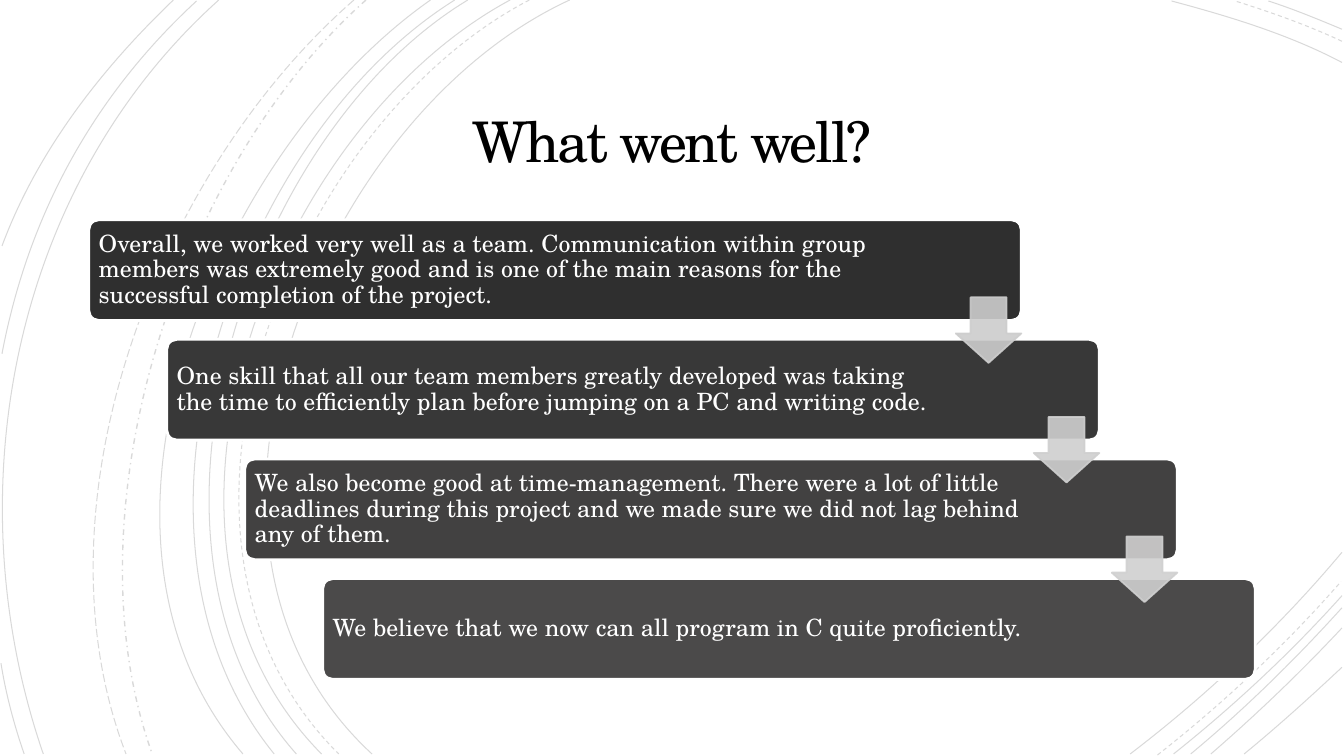
"""Builds the "What went well?" slide: a staircase of four bars over fine arcs."""
import dataclasses
import typing

import lxml.etree
import pptx
import pptx.dml.color
import pptx.enum.dml
import pptx.enum.shapes
import pptx.enum.text
import pptx.oxml.ns
import pptx.util

COLS, ROWS = 13.33, 7.5
CELL = pptx.util.Inches(1)
FONT = "TeX Gyre Schola"
BAR_LEFT, BAR_TOP, BAR_W, BAR_H = 0.88, 2.18, 9.25, 1
LAST_LEFT, LAST_TOP = 3.2, 5.74
ARROW, ARROW_DROP = 0.65, 0.77

Dash = pptx.enum.dml.MSO_LINE
Preset = pptx.enum.shapes.MSO_SHAPE
Align = pptx.enum.text.PP_ALIGN
qn = pptx.oxml.ns.qn


@dataclasses.dataclass
class Arc:
    points: tuple[float, ...]
    dash: typing.Any = Dash.SOLID
    width: float = 0.75


@dataclasses.dataclass
class Bar:
    text: str
    fill: str
    margin_right: float
    arrow: str = ""


ARCS = [
    Arc((5.65, 0, 3.15, 1.15, 1.43, 5.4, 3.69, 7.48)),
    Arc((13.31, 0.62, 12.78, 0.34, 12.18, 0.16, 11.62, 0.01)),
    Arc((11.21, 7.48, 11.97, 6.9, 12.69, 6.22, 13.31, 5.48)),
    Arc((5.25, 0, 2.85, 1.25, 1.23, 5.37, 3.36, 7.48), Dash.DASH),
    Arc((13.31, 0.41, 12.97, 0.25, 12.6, 0.12, 12.25, 0.01), Dash.DASH),
    Arc((11.48, 7.49, 12.13, 6.98, 12.75, 6.4, 13.3, 5.77), Dash.DASH),
    Arc((5.06, 0, 2.7, 1.27, 1.1, 5.37, 3.19, 7.48)),
    Arc((13.31, 0.29, 13.07, 0.19, 12.83, 0.09, 12.58, 0.01)),
    Arc((11.64, 7.48, 12.23, 7.01, 12.8, 6.48, 13.31, 5.91)),
    Arc((4.64, 0, 2.44, 1.33, 1.1, 5.41, 2.94, 7.48)),
    Arc((11.81, 7.48, 12.34, 7.04, 12.84, 6.55, 13.31, 6.03)),
    Arc((4.51, 0, 2.31, 1.38, 0.97, 5.33, 2.72, 7.48)),
    Arc((12.01, 7.48, 12.46, 7.09, 12.9, 6.67, 13.31, 6.23)),
    Arc((4.27, 0, 2.17, 1.47, 0.53, 5.29, 2.41, 7.48)),
    Arc((12.34, 7.48, 12.67, 7.21, 12.99, 6.92, 13.31, 6.62)),
    Arc((3.63, 0, 1.76, 1.66, 0.65, 5.09, 1.51, 7.48), Dash.DASH_DOT, 1),
    Arc((3.51, 0, 1.57, 1.69, 0.29, 4.99, 1.25, 7.48), Dash.LONG_DASH),
    Arc((2.17, 0, 0.11, 1.85, -0.46, 4.9, 0.43, 7.48)),
    Arc((1.95, 0.01, 0.92, 0.96, 0.28, 2.14, 0.02, 3.51)),
    Arc((0.01, 6.58, 0.06, 6.89, 0.14, 7.19, 0.24, 7.48)),
    Arc((1.72, 0, 1, 0.69, 0.37, 1.5, 0.02, 2.44)),
]

BARS = [
    Bar("Overall, we worked very well as a team. Communication within group members was "
        "extremely good and is one of the main reasons for the successful completion of "
        "the project.", "2F2F2F", 1.18, "CDCDCD"),
    Bar("One skill that all our team members greatly developed was taking the time to "
        "efficiently plan before jumping on a PC and writing code.",
        "383838", 1.49, "CFCFCF"),
    Bar("We also become good at time-management. There were a lot of little deadlines "
        "during this project and we made sure we did not lag behind any of them.",
        "424141", 1.48, "D0D0D0"),
    Bar("We believe that we now can all program in C quite proficiently.",
        "4B4A4A", 1.49),
]
STEP_X = (LAST_LEFT - BAR_LEFT) / (len(BARS) - 1)
STEP_Y = (LAST_TOP - BAR_TOP) / (len(BARS) - 1)


def cells(*counts: float) -> list[int]:
    """Turn counts of grid cells into lengths."""
    return [round(n * CELL) for n in counts]


def color(value: str) -> pptx.dml.color.RGBColor:
    """Return the colour of a hex string."""
    return pptx.dml.color.RGBColor.from_string(value)


def paint(sp: typing.Any, line: str = "", width: float = 0, fill: str = "",
          alpha: int = 100) -> None:
    """Set outline, fill and opacity in percent, without a shadow."""
    sp.shadow.inherit = False
    if fill:
        sp.fill.solid()
        sp.fill.fore_color.rgb = color(fill)
    else:
        sp.fill.background()
    if line:
        sp.line.color.rgb = color(line)
        sp.line.width = pptx.util.Pt(width)
    else:
        sp.line.fill.background()
    if alpha < 100:
        for c in sp.element.spPr.iter(qn("a:srgbClr")):
            lxml.etree.SubElement(c, qn("a:alpha"), val=str(alpha * 1000))


def write(sp: typing.Any, text: str, *, size: float, rgb: str, align: typing.Any,
          leading: float, margins: tuple[float, ...], tracking: float = 0) -> None:
    """Fill a shape with one formatted paragraph."""
    tf = sp.text_frame
    tf.word_wrap = True
    tf.auto_size = pptx.enum.text.MSO_AUTO_SIZE.NONE
    tf.vertical_anchor = pptx.enum.text.MSO_ANCHOR.MIDDLE
    tf.margin_left, tf.margin_top, tf.margin_right, tf.margin_bottom = cells(*margins)
    p = tf.paragraphs[0]
    p.alignment, p.line_spacing = align, leading
    r = p.add_run()
    r.text = text
    r.font.name, r.font.size = FONT, pptx.util.Pt(size)
    r.font.color.rgb = color(rgb)
    if tracking:
        r.font._element.set("spc", str(round(tracking * 100)))


def draw_arc(s: typing.Any, arc: Arc) -> None:
    """Draw a cubic curve as a fine open outline."""
    lengths = cells(*arc.points)
    start, *rest = zip(lengths[::2], lengths[1::2])
    builder = s.shapes.build_freeform(*start)
    builder.add_line_segments(rest, close=False)
    sp = builder.convert_to_shape()
    outline = next(sp.element.spPr.iter(qn("a:path")))
    curve = lxml.etree.SubElement(outline, qn("a:cubicBezTo"))
    for segment in outline.findall(qn("a:lnTo")):
        curve.append(segment[0])
        outline.remove(segment)
    paint(sp, "000000", arc.width, alpha=15)
    sp.line.dash_style = arc.dash


def draw_bar(s: typing.Any, bar: Bar, step: int) -> None:
    """Draw one stair with its text."""
    sp = s.shapes.add_shape(Preset.ROUNDED_RECTANGLE, *cells(
        BAR_LEFT + step * STEP_X, BAR_TOP + step * STEP_Y, BAR_W, BAR_H))
    sp.adjustments[0] = 0.1
    paint(sp, "FFFFFF", 2, bar.fill)
    write(sp, bar.text, size=17, rgb="FFFFFF", align=Align.LEFT, leading=0.9,
          margins=(0.07, 0.07, bar.margin_right, 0.07))


def draw_arrow(s: typing.Any, bar: Bar, step: int) -> None:
    """Draw the arrow from a stair's right end to the next stair."""
    sp = s.shapes.add_shape(Preset.DOWN_ARROW, *cells(
        BAR_LEFT + step * STEP_X + BAR_W - ARROW, BAR_TOP + step * STEP_Y + ARROW_DROP,
        ARROW, ARROW))
    sp.adjustments[0], sp.adjustments[1] = 0.55, 0.45
    paint(sp, bar.arrow, 1.25, bar.arrow, alpha=90)


def main() -> None:
    """Build and save the slide."""
    prs = pptx.Presentation()
    prs.slide_width, prs.slide_height = cells(COLS, ROWS)
    s = prs.slides.add_slide(prs.slide_layouts[5])
    backdrop = s.shapes.add_shape(Preset.RECTANGLE, *cells(0, 0, COLS, ROWS))
    paint(backdrop, fill="FFFFFF")
    for arc in ARCS:
        draw_arc(s, arc)
    title = s.shapes.title
    s.shapes._spTree.append(title.element)
    title.left, title.top, title.width, title.height = cells(1.92, 0.87, 9.49, 1.15)
    write(title, "What went well?", size=40, rgb="000000", align=Align.CENTER,
          leading=0.85, margins=(0.25,) * 4, tracking=-1.5)
    for step, bar in enumerate(BARS):
        draw_bar(s, bar, step)
    for step, bar in enumerate(BARS[:-1]):
        draw_arrow(s, bar, step)
    prs.save("out.pptx")


if __name__ == "__main__":
    main()
